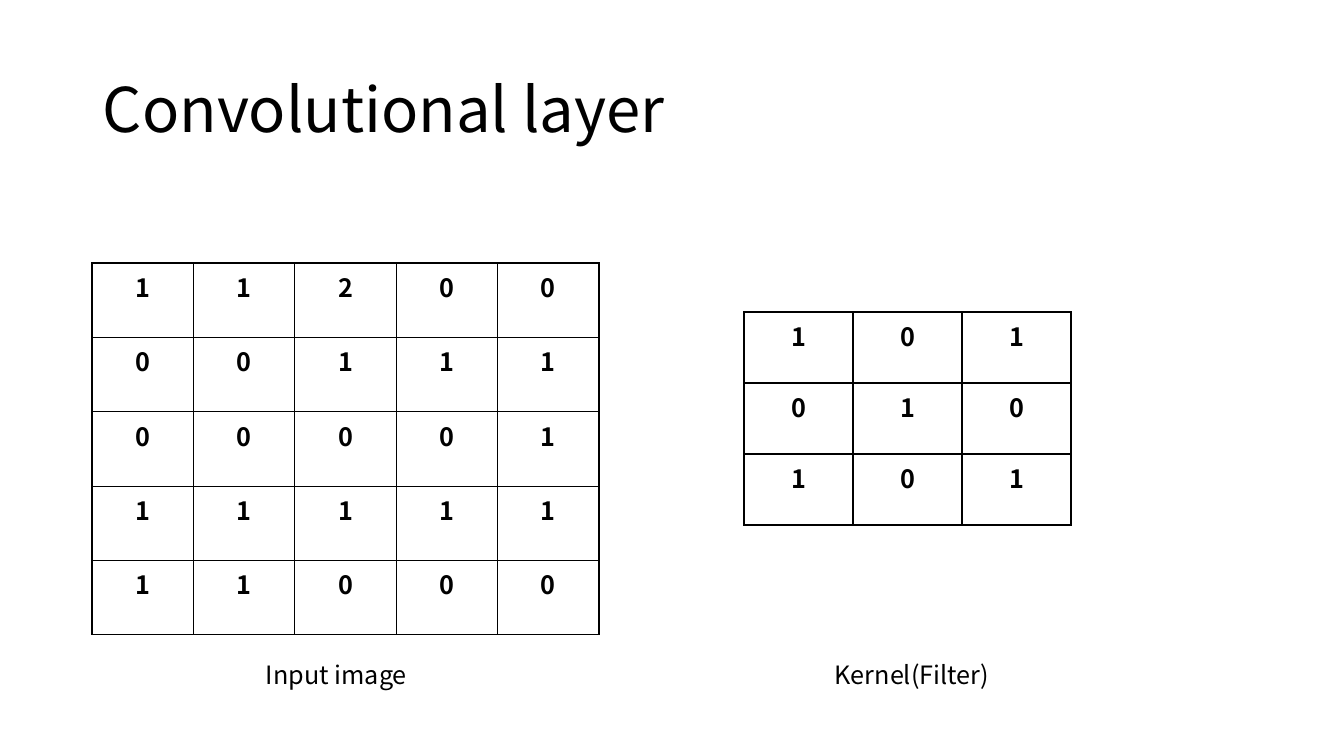
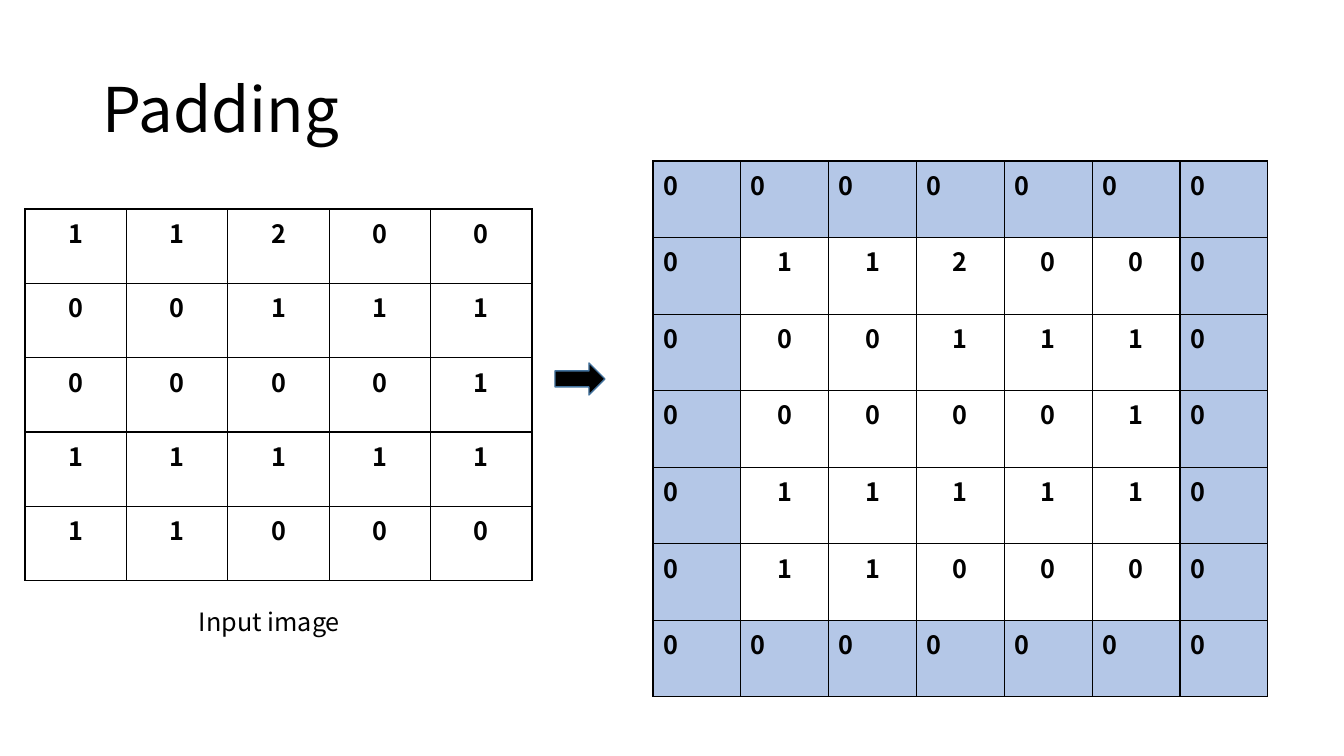
import pptx
import pptx.util
import pptx.dml.color
import pptx.enum.shapes
import pptx.enum.text
import pptx.oxml

PX = 9144000 / 1008  # EMU per pixel
FONT = "Noto Sans CJK KR"
BLACK = pptx.dml.color.RGBColor(0x00, 0x00, 0x00)
WHITE = pptx.dml.color.RGBColor(0xFF, 0xFF, 0xFF)
PAD_BLUE = pptx.dml.color.RGBColor(0xB4, 0xC7, 0xE7)
ARROW_LINE = pptx.dml.color.RGBColor(0x43, 0x73, 0x9E)
ALIGN = pptx.enum.text.PP_ALIGN
ANCHOR = pptx.enum.text.MSO_ANCHOR
BORDER = (
    '<a:{side} xmlns:a="http://schemas.openxmlformats.org/drawingml/2006/main" w="12700">'
    '<a:solidFill><a:srgbClr val="{color}"/></a:solidFill></a:{side}>'
)


def write(tf, text, size=18, bold=False, align=ALIGN.LEFT, spacing=1.0, anchor=ANCHOR.TOP):
    tf.word_wrap = True
    tf.vertical_anchor = anchor
    p = tf.paragraphs[0]
    p.alignment = align
    p.line_spacing = spacing
    r = p.add_run()
    r.text = text
    r.font.name = FONT
    r.font.size = pptx.util.Pt(size)
    r.font.bold = bold
    r.font.color.rgb = BLACK


def add_matrix(s, rows, box, padded=False):
    n_rows, n_cols = len(rows), len(rows[0])
    x, y, w, h = [round(v * PX) for v in box]
    table = s.shapes.add_table(n_rows, n_cols, x, y, w, h).table
    table.first_row = table.horz_banding = False
    for col in table.columns:
        col.width = round(w / n_cols)
    for i, row in enumerate(rows):
        table.rows[i].height = round(h / n_rows)
        for j, value in enumerate(row):
            cell = table.cell(i, j)
            on_edge = padded and (i in (0, n_rows - 1) or j in (0, n_cols - 1))
            # Borders come before the fill in the cell properties
            tcPr = cell._tc.get_or_add_tcPr()
            for side in ("lnL", "lnR", "lnT", "lnB"):
                tcPr.append(pptx.oxml.parse_xml(BORDER.format(side=side, color=BLACK)))
            cell.fill.solid()
            cell.fill.fore_color.rgb = PAD_BLUE if on_edge else WHITE
            write(cell.text_frame, value, bold=True,
                  align=ALIGN.LEFT if on_edge else ALIGN.CENTER)


# Matrices, one string per row
image = ["11200", "00111", "00001", "11111", "11000"]
kernel = ["101", "010", "101"]
padded_image = ["0" * 7] + [f"0{row}0" for row in image] + ["0" * 7]

prs = pptx.Presentation()
prs.slide_width = round(1344 * PX)
prs.slide_height = round(756 * PX)

# Titles and captions
slides = []
for title, captions in [
    ("Convolutional layer", [("Input image", 256, 654), ("Kernel(Filter)", 825, 654)]),
    ("Padding", [("Input image", 189, 601)]),
]:
    s = prs.slides.add_slide(prs.slide_layouts[6])
    slides.append(s)
    tb = s.shapes.add_textbox(*[round(v * PX) for v in (93, 40, 1159, 146)])
    write(tb.text_frame, title, size=44, spacing=0.9, anchor=ANCHOR.MIDDLE)
    for caption, x, y in captions:
        tb = s.shapes.add_textbox(*[round(v * PX) for v in (x, y, 349, 40)])
        write(tb.text_frame, caption)
conv, padding = slides

# Convolutional layer: image and kernel
add_matrix(conv, image, (92, 263, 507, 372))
add_matrix(conv, kernel, (744, 312, 327, 213))

# Padding: image, arrow, zero-padded image
add_matrix(padding, image, (25, 209, 507, 372))
arrow = padding.shapes.add_shape(
    pptx.enum.shapes.MSO_SHAPE.RIGHT_ARROW, *[round(v * PX) for v in (555, 363, 50, 32)])
arrow.shadow.inherit = False
arrow.fill.solid()
arrow.fill.fore_color.rgb = BLACK
arrow.line.color.rgb = ARROW_LINE
arrow.line.width = pptx.util.Pt(1)
add_matrix(padding, padded_image, (653, 161, 615, 536), padded=True)

prs.save("out.pptx")
